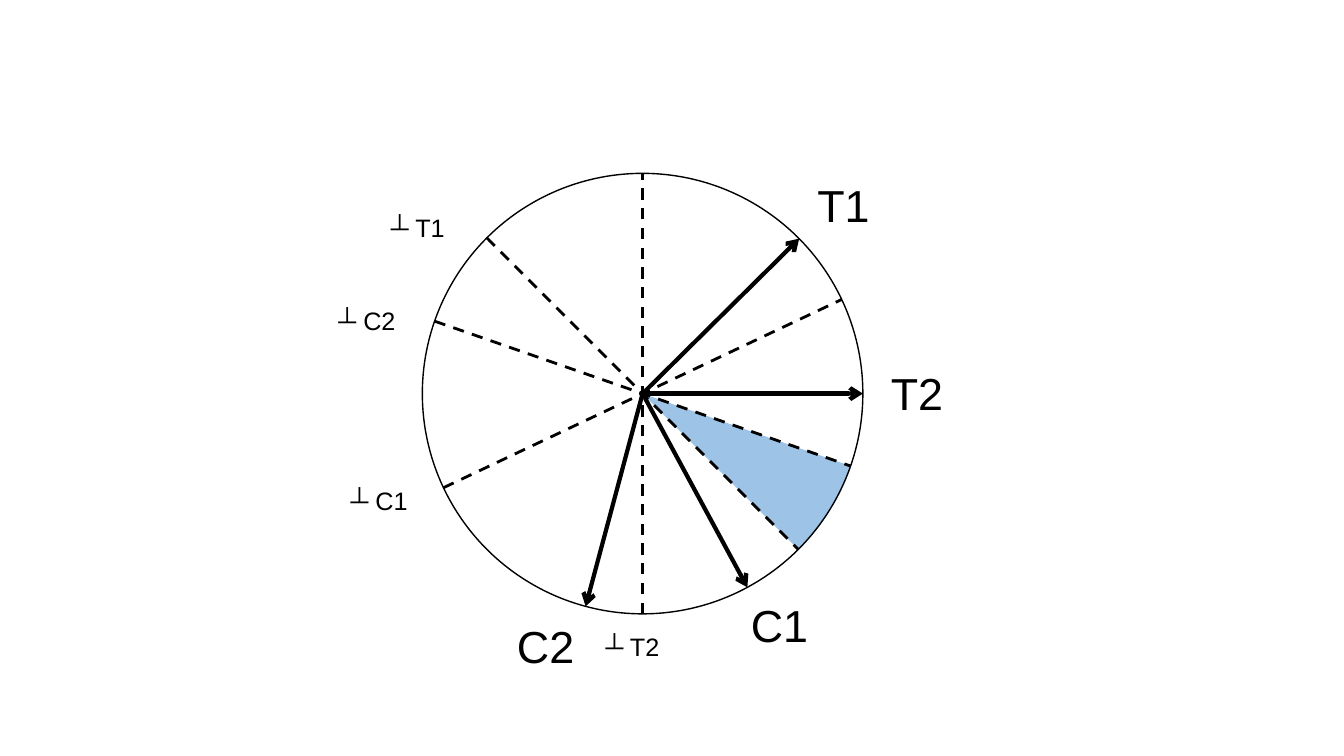
from dataclasses import dataclass
from math import cos, radians, sin

from pptx import Presentation
from pptx.dml.color import RGBColor
from pptx.enum.dml import MSO_LINE
from pptx.enum.shapes import MSO_CONNECTOR, MSO_SHAPE
from pptx.oxml.ns import qn
from pptx.util import Inches, Pt
from lxml import etree

DASH = MSO_LINE.DASH
LINE = MSO_CONNECTOR.STRAIGHT
OVAL, PIE = MSO_SHAPE.OVAL, MSO_SHAPE.PIE

COLORS = {"ink": "000000", "wedge": "9DC3E6"}
FONT = "Arial"

# Grid of square cells, ten to the inch
COLS, ROWS = 133.33, 75
MID_X, MID_Y, RADIUS = 63.75, 39.05, 21.85
WEDGE = (19.2, 45)


@dataclass
class Ray:
    """A line through or from the centre, its angle counted up from the right."""
    angle: float
    arrow: bool


@dataclass
class Label:
    text: str
    col: float
    row: float
    width: float
    height: float
    size: int


RAYS = [
    Ray(0, True), Ray(44.7, True), Ray(90, False), Ray(-45, False),
    Ray(-61.6, True), Ray(25.3, False), Ray(-105, True), Ray(-19.2, False),
]
BIG, SMALL = (6.4, 32), (4, 18)
LABELS = [
    Label("T1", 80.1, 17.1, 7.3, *BIG),
    Label("T2", 87.4, 35.8, 7.3, *BIG),
    Label("C1", 73.5, 58.8, 8.8, *BIG),
    Label("C2", 50.3, 60.9, 8.8, *BIG),
    Label("┴ C1", 33.8, 47.7, 9.3, *SMALL),
    Label("┴ T2", 59.1, 62.1, 9.3, *SMALL),
    Label("┴ T1", 37.8, 20.6, 9.3, *SMALL),
    Label("┴ C2", 32.6, 29.8, 9.3, *SMALL),
]


def cell(count: float) -> int:
    return Inches(count / 10)


def color(name: str) -> RGBColor:
    return RGBColor.from_string(COLORS[name])


def add_disc(slide, kind):
    """Add a shape that fills the circle's box."""
    side = cell(2 * RADIUS)
    disc = slide.shapes.add_shape(
        kind, cell(MID_X - RADIUS), cell(MID_Y - RADIUS), side, side)
    disc.shadow.inherit = False
    return disc


def add_wedge(slide) -> None:
    wedge = add_disc(slide, PIE)
    for index, angle in enumerate(WEDGE):
        wedge.adjustments[index] = angle * 0.6  # 60000ths of a degree / 100000
    wedge.fill.solid()
    wedge.fill.fore_color.rgb = color("wedge")
    wedge.line.fill.background()


def add_circle(slide) -> None:
    circle = add_disc(slide, OVAL)
    circle.fill.background()
    circle.line.color.rgb = color("ink")
    circle.line.width = Pt(1)


def add_ray(slide, ray: Ray) -> None:
    dx = RADIUS * cos(radians(ray.angle))
    dy = -RADIUS * sin(radians(ray.angle))
    back = 0 if ray.arrow else 1
    line = slide.shapes.add_connector(
        LINE, cell(MID_X - back * dx), cell(MID_Y - back * dy),
        cell(MID_X + dx), cell(MID_Y + dy))
    line.line.color.rgb = color("ink")
    line.line.width = Pt(3 if ray.arrow else 2)
    props = line._element.spPr
    if ray.arrow:
        etree.SubElement(props.find(qn("a:ln")), qn("a:tailEnd"), type="arrow")
    else:
        line.line.dash_style = DASH
    etree.SubElement(props, qn("a:effectLst"))


def add_label(slide, label: Label) -> None:
    box = slide.shapes.add_textbox(
        cell(label.col), cell(label.row), cell(label.width), cell(label.height))
    box.text_frame.word_wrap = True
    par = box.text_frame.paragraphs[0]
    par.text = label.text
    par.font.name = FONT
    par.font.size = Pt(label.size)
    par.font.color.rgb = color("ink")


def main() -> None:
    deck = Presentation()
    deck.slide_width, deck.slide_height = cell(COLS), cell(ROWS)
    slide = deck.slides.add_slide(deck.slide_layouts[6])
    add_wedge(slide)
    add_circle(slide)
    for ray in RAYS:
        add_ray(slide, ray)
    for label in LABELS:
        add_label(slide, label)
    deck.save("out.pptx")


if __name__ == "__main__":
    main()
